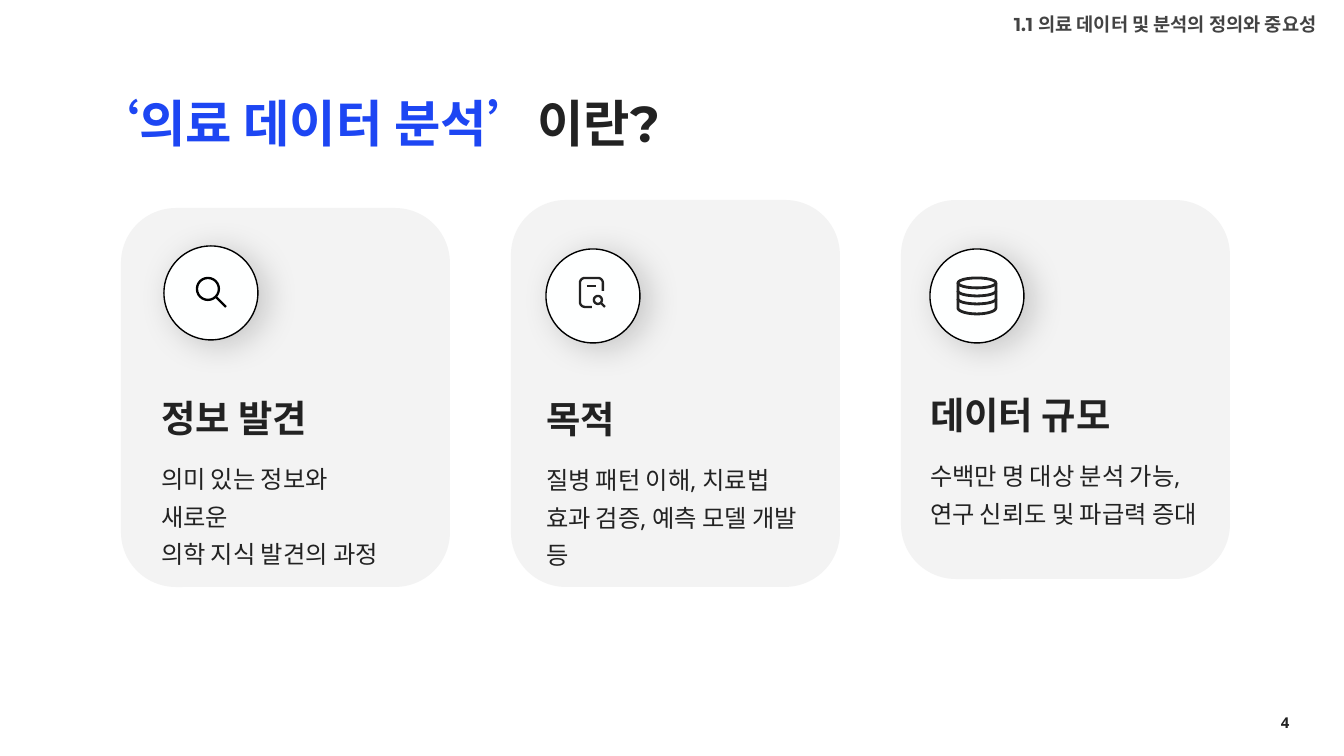
"""Build the slide that explains medical data analysis with three icon cards."""
from dataclasses import dataclass
from math import cos, radians, sin

from lxml.etree import SubElement
from pptx import Presentation
from pptx.dml.color import RGBColor
from pptx.enum.shapes import MSO_SHAPE as Preset
from pptx.enum.text import MSO_ANCHOR as Anchor, MSO_AUTO_SIZE as AutoSize, PP_ALIGN as Align
from pptx.oxml.ns import qn
from pptx.util import Emu, Pt


@dataclass(frozen=True)
class Theme:
    ink: str = "222222"
    accent: str = "1D46F3"
    muted: str = "434343"
    card: str = "F3F3F3"
    disc: str = "FEFFFF"
    black: str = "000000"
    heading_font: str = "Montserrat"
    body_font: str = "Open Sans"
    title_size: float = 27
    card_title_size: float = 20
    body_size: float = 13
    header_size: float = 10
    number_size: float = 8


THEME = Theme()
EMU_PER_PX = 914400 / 134.4
SLIDE_SIZE = (1344, 756)
CARD_LEFT, CARD_PITCH, CARD_WIDTH = 121, 390, 329
DISC_SIZE, TEXT_HEIGHT = 94, 149


def arc(x, y, radius_x, radius_y, start, end, steps=24):
    angles = [radians(start + (end - start) * step / steps) for step in range(steps + 1)]
    return [(x + radius_x * cos(angle), y + radius_y * sin(angle)) for angle in angles]


SEARCH_ICON = [arc(-3, -4, 11, 11, 0, 360), [(5, 4), (15, 14)]]
DOCUMENT_ICON = [
    [(10, -5)] + arc(5, -13, 5, 5, 0, -90, 6) + arc(-8, -13, 5, 5, -90, -180, 6)
    + arc(-8, 6, 5, 5, 180, 90, 6) + [(-1, 11)],
    [(-6, -10), (3, -10)],
    arc(5, 4, 4, 4, 0, 360),
    [(8, 7), (12, 11)],
]
DATABASE_ICON = [
    arc(0, -13, 19, 5, 0, 360),
    [(-19, -13)] + arc(0, 12, 19, 6, 180, 0) + [(19, -13)],
    arc(0, -5, 19, 5, 180, 0),
    arc(0, 3, 19, 5, 180, 0),
]

TITLE = [("‘의료 데이터 분석’", THEME.accent), ("이란?", THEME.ink)]
HEADER = "1.1 의료 데이터 및 분석의 정의와 중요성"
PAGE_NUMBER = "4"
CARDS = [
    dict(title="정보 발견", lines=["의미 있는 정보와 새로운 ", "의학 지식 발견의 과정"],
         top=208, height=379, disc=(164, 246), text=(161, 378, 233),
         icon=SEARCH_ICON, icon_color=THEME.black, stroke=1.25),
    dict(title="목적", lines=["질병 패턴 이해, 치료법 효과 검증, 예측 모델 개발 등"],
         top=200, height=387, disc=(546, 249), text=(546, 379, 270),
         icon=DOCUMENT_ICON, icon_color=THEME.ink, stroke=1.25),
    dict(title="데이터 규모", lines=["수백만 명 대상 분석 가능, ", "연구 신뢰도 및 파급력 증대"],
         top=200, height=379, disc=(930, 249), text=(930, 375, 270),
         icon=DATABASE_ICON, icon_color=THEME.ink, stroke=1.5),
]


def px(length):
    return Emu(round(length * EMU_PER_PX))


def rgb(color):
    return RGBColor.from_string(color)


def add_box(slide, box, insets, anchor=Anchor.TOP):
    frame = slide.shapes.add_textbox(*map(px, box)).text_frame
    frame.word_wrap = True
    frame.auto_size = AutoSize.NONE
    frame.vertical_anchor = anchor
    frame.margin_left, frame.margin_top, frame.margin_right, frame.margin_bottom = map(px, insets)
    return frame


def add_run(paragraph, text, size, color, font, bold=True):
    run = paragraph.add_run()
    run.text = text
    run.font.size = Pt(size)
    run.font.bold = bold
    run.font.name = font
    run.font.color.rgb = rgb(color)


def add_preset(slide, preset, box, fill):
    shape = slide.shapes.add_shape(preset, *map(px, box))
    shape.shadow.inherit = False
    shape.fill.solid()
    shape.fill.fore_color.rgb = rgb(fill)
    shape.line.fill.background()
    return shape


def add_disc(slide, left, top):
    disc = add_preset(slide, Preset.OVAL, (left, top, DISC_SIZE, DISC_SIZE), THEME.disc)
    disc.line.color.rgb = rgb(THEME.black)
    disc.line.width = Pt(0.75)
    effects = disc._element.spPr.find(qn("a:effectLst"))
    shadow = SubElement(effects, qn("a:outerShdw"), blurRad=str(Pt(18)), dist=str(Pt(5.2)),
                        dir=str(30 * 60000), algn="ctr", rotWithShape="0")
    color = SubElement(shadow, qn("a:srgbClr"), val=THEME.black)
    SubElement(color, qn("a:alpha"), val="19000")


def add_icon(slide, center_x, center_y, strokes, color, width):
    placed = [[(px(center_x + x), px(center_y + y)) for x, y in stroke] for stroke in strokes]
    builder = slide.shapes.build_freeform(*placed[0][0])
    for index, (start, *points) in enumerate(placed):
        if index:
            builder.move_to(*start)
        builder.add_line_segments(points, close=False)
    icon = builder.convert_to_shape()
    icon.shadow.inherit = False
    icon.fill.background()
    icon.line.color.rgb = rgb(color)
    icon.line.width = Pt(width)


def add_card(slide, index, card):
    left = CARD_LEFT + index * CARD_PITCH
    panel = add_preset(slide, Preset.ROUNDED_RECTANGLE,
                       (left, card["top"], CARD_WIDTH, card["height"]), THEME.card)
    panel.adjustments[0] = 0.167

    frame = add_box(slide, (*card["text"], TEXT_HEIGHT), (0, 4, 0, 4))
    heading, body = frame.paragraphs[0], frame.add_paragraph()
    heading.line_spacing = body.line_spacing = 1.3
    body.space_before = Pt(8)
    add_run(heading, card["title"], THEME.card_title_size, THEME.ink, THEME.body_font)
    for number, line in enumerate(card["lines"]):
        if number:
            body.add_line_break()
        add_run(body, line, THEME.body_size, THEME.ink, THEME.body_font, bold=False)

    disc_left, disc_top = card["disc"]
    add_disc(slide, disc_left, disc_top)
    add_icon(slide, disc_left + DISC_SIZE / 2, disc_top + DISC_SIZE / 2,
             card["icon"], card["icon_color"], card["stroke"])


def main():
    presentation = Presentation()
    presentation.slide_width, presentation.slide_height = map(px, SLIDE_SIZE)
    slide = presentation.slides.add_slide(presentation.slide_layouts[6])

    number = add_box(slide, (1230, 703, 110, 40), (9, 5, 9, 5), Anchor.MIDDLE).paragraphs[0]
    number.alignment = Align.CENTER
    add_run(number, PAGE_NUMBER, THEME.number_size, THEME.ink, THEME.body_font)

    for index, card in enumerate(CARDS):
        add_card(slide, index, card)

    title = add_box(slide, (89, 82, 1009, 70), (0, 22, 0, 0)).paragraphs[0]
    title.line_spacing = 0.8
    for text, color in TITLE:
        add_run(title, text, THEME.title_size, color, THEME.heading_font)

    header = add_box(slide, (1001, 0, 461, 50), (13, 13, 13, 13)).paragraphs[0]
    add_run(header, HEADER, THEME.header_size, THEME.muted, THEME.heading_font)

    presentation.save("out.pptx")


if __name__ == "__main__":
    main()
